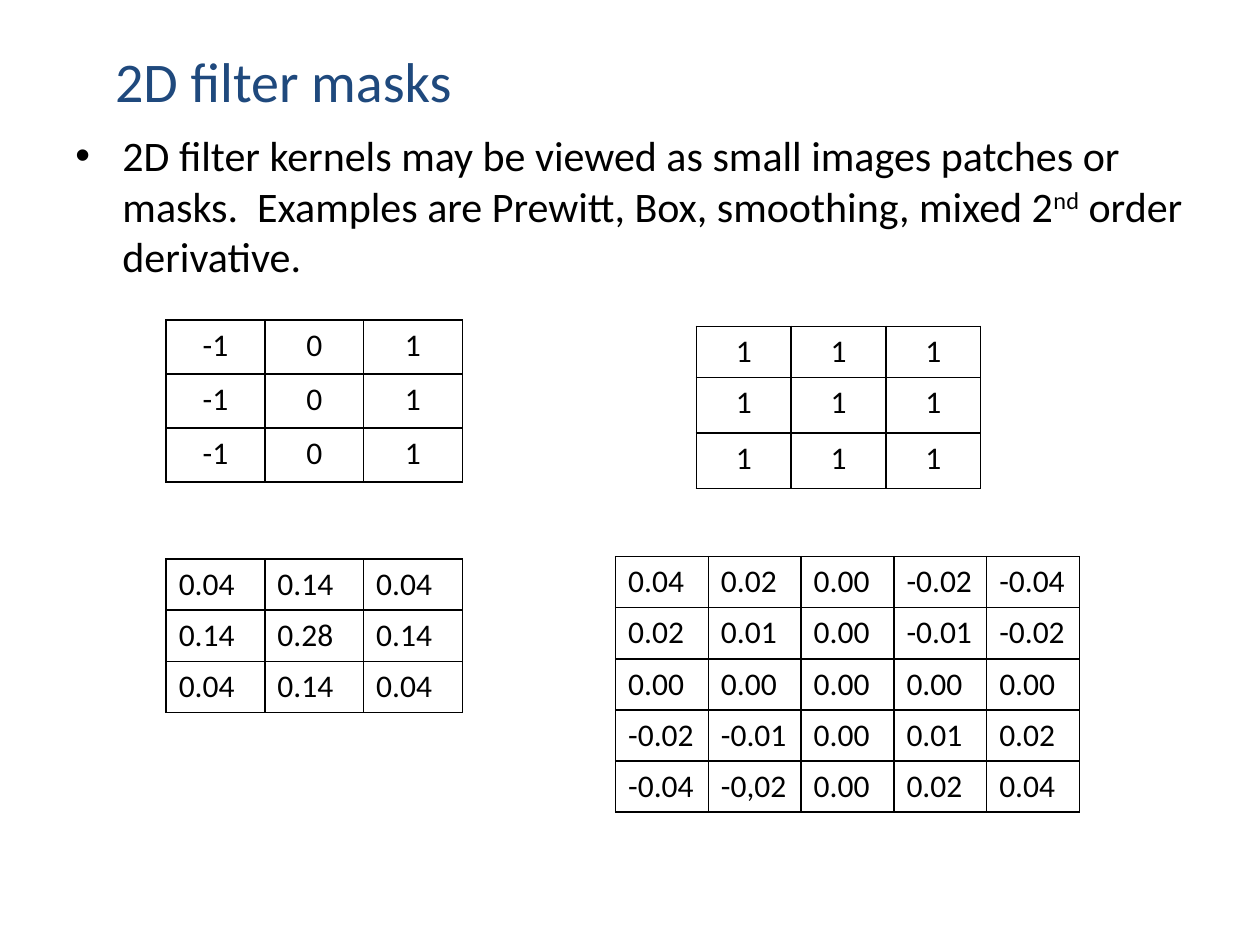
from dataclasses import dataclass

from lxml.etree import SubElement
from pptx import Presentation
from pptx.dml.color import RGBColor
from pptx.enum.text import MSO_ANCHOR as Anchor, PP_ALIGN as Align
from pptx.oxml.ns import qn
from pptx.util import Cm, Pt


@dataclass(frozen=True)
class Theme:
    font: str = "Calibri"
    heading: RGBColor = RGBColor(0x1F, 0x49, 0x7D)
    ink: RGBColor = RGBColor(0, 0, 0)
    title_size: int = 32
    body_size: int = 24
    cell_size: int = 18
    border: int = 1


THEME = Theme()
ROW = 1.03  # height in cm of a row that just holds its text

PREWITT = [["-1", "0", "1"]] * 3
BOX = [["1", "1", "1"]] * 3
SMOOTHING = [
    ["0.04", "0.14", "0.04"],
    ["0.14", "0.28", "0.14"],
    ["0.04", "0.14", "0.04"],
]
MIXED_DERIVATIVE = [
    ["0.04", "0.02", "0.00", "-0.02", "-0.04"],
    ["0.02", "0.01", "0.00", "-0.01", "-0.02"],
    ["0.00", "0.00", "0.00", "0.00", "0.00"],
    ["-0.02", "-0.01", "0.00", "0.01", "0.02"],
    ["-0.04", "-0,02", "0.00", "0.02", "0.04"],
]


def write(paragraph, text, *, size, color=THEME.ink, align=Align.LEFT, superscript=False):
    """Append one formatted run to a paragraph."""
    paragraph.alignment = align
    run = paragraph.add_run()
    run.text = text
    run.font.name = THEME.font
    run.font.size = Pt(size)
    run.font.color.rgb = color
    if superscript:
        run.font._element.set("baseline", "30000")


def place(shape, left, top, width, height):
    shape.left, shape.top = Cm(left), Cm(top)
    shape.width, shape.height = Cm(width), Cm(height)


def add_bullet(paragraph, hang):
    """Give a paragraph a round bullet with a hanging indent."""
    properties = paragraph._p.get_or_add_pPr()
    properties.set("marL", str(Cm(hang)))
    properties.set("indent", str(-Cm(hang)))
    SubElement(properties, qn("a:buFont"), typeface="Arial")
    SubElement(properties, qn("a:buChar"), char="•")


def draw_borders(cell):
    properties = cell._tc.get_or_add_tcPr()
    for side in ("lnL", "lnR", "lnT", "lnB"):
        line = SubElement(properties, qn(f"a:{side}"), w=str(Pt(THEME.border)))
        fill = SubElement(line, qn("a:solidFill"))
        SubElement(fill, qn("a:srgbClr"), val=str(THEME.ink))


def add_title(slide, text):
    title = slide.shapes.title
    place(title, 1.27, 0.76, 8.89, 1.73)
    title.text_frame.vertical_anchor = Anchor.MIDDLE
    write(title.text_frame.paragraphs[0], text, size=THEME.title_size,
          color=THEME.heading, align=Align.CENTER)


def add_description(slide):
    box = slide.shapes.add_textbox(Cm(1.27), Cm(2.49), Cm(22.86), Cm(14.53))
    box.text_frame.word_wrap = True
    paragraph = box.text_frame.paragraphs[0]
    add_bullet(paragraph, 0.95)
    write(paragraph, "2D filter kernels may be viewed as small images patches or masks.  "
          "Examples are Prewitt, Box, smoothing, mixed 2", size=THEME.body_size)
    write(paragraph, "nd", size=THEME.body_size, superscript=True)
    write(paragraph, " order derivative.", size=THEME.body_size)


def add_mask(slide, weights, left, top, column_width, row_heights, align=Align.LEFT):
    """Draw a filter mask as a plain ruled table."""
    columns = len(weights[0])
    mask = slide.shapes.add_table(
        len(weights), columns, Cm(left), Cm(top),
        Cm(column_width * columns), Cm(sum(row_heights))).table
    mask.first_row = mask.horz_banding = False
    for column in mask.columns:
        column.width = Cm(column_width)
    for row, height, values in zip(mask.rows, row_heights, weights):
        row.height = Cm(height)
        for cell, value in zip(row.cells, values):
            draw_borders(cell)
            cell.fill.background()
            write(cell.text_frame.paragraphs[0], value,
                  size=THEME.cell_size, align=align)


def main():
    deck = Presentation()
    deck.slide_width, deck.slide_height = Cm(25.4), Cm(19.05)
    slide = deck.slides.add_slide(deck.slide_layouts[5])

    # Heading and explanation
    add_title(slide, "2D filter masks")
    add_description(slide)

    # Upper masks: integer weights, centred
    add_mask(slide, BOX, 14.04, 6.58, 1.91, [ROW, 1.12, 1.12], Align.CENTER)
    add_mask(slide, PREWITT, 3.35, 6.45, 1.99, [1.09] * 3, Align.CENTER)

    # Lower masks: decimal weights, left aligned
    add_mask(slide, SMOOTHING, 3.35, 11.27, 1.99, [ROW] * 3)
    add_mask(slide, MIXED_DERIVATIVE, 12.41, 11.22, 1.87, [ROW] * 5)

    deck.save("out.pptx")


if __name__ == "__main__":
    main()
